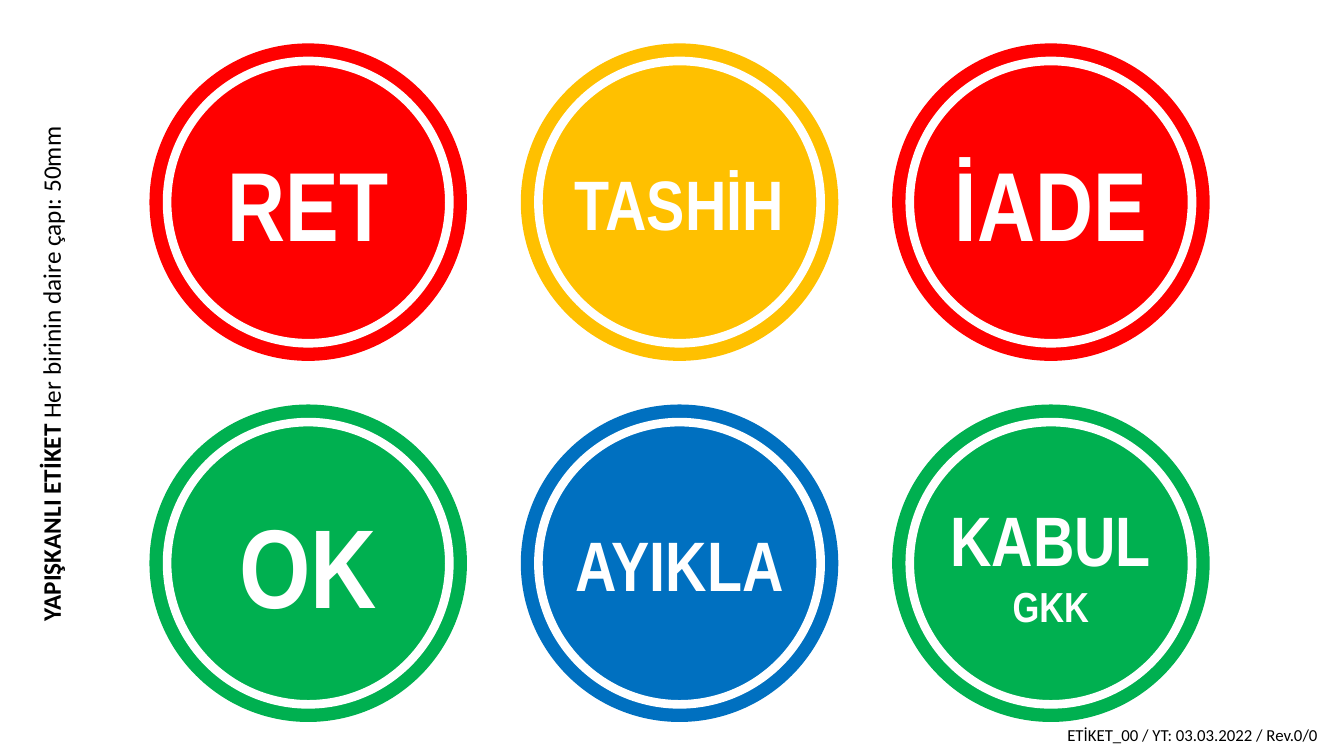
from pptx import Presentation
from pptx.dml.color import RGBColor
from pptx.enum.shapes import MSO_SHAPE
from pptx.enum.text import MSO_ANCHOR, MSO_AUTO_SIZE, PP_ALIGN
from pptx.util import Pt

OVAL, DONUT = MSO_SHAPE.OVAL, MSO_SHAPE.DONUT
MIDDLE, CENTER, LEFT = MSO_ANCHOR.MIDDLE, PP_ALIGN.CENTER, PP_ALIGN.LEFT
GROW = MSO_AUTO_SIZE.SHAPE_TO_FIT_TEXT

COLORS = {
    "red": "FF0000", "yellow": "FFC000", "green": "00B050",
    "blue": "0070C0", "white": "FFFFFF", "black": "000000",
}

BADGE_LEFT, BADGE_TOP = 106.75, 31
COL_STEP, ROW_STEP = 265.25, 257.9
DIAMETER, RING_INSET = 226.8, 10

# Each badge: colour and its lines of (text, size)
BADGES = [
    [("red", [("RET", 70)]), ("yellow", [("TASHİH", 50)]), ("red", [("İADE", 70)])],
    [("green", [("OK", 80)]), ("blue", [("AYIKLA", 50)]),
     ("green", [("KABUL", 50), ("GKK", 30)])],
]


def rgb(name):
    return RGBColor.from_string(COLORS[name])


def style_run(r, font, size, color, bold=False):
    r.font.name = font
    r.font.size = Pt(size)
    r.font.bold = bold
    r.font.color.rgb = rgb(color)


def add_round(shapes, kind, left, top, size, color):
    sp = shapes.add_shape(kind, Pt(left), Pt(top), Pt(size), Pt(size))
    sp.shadow.inherit = False
    sp.fill.solid()
    sp.fill.fore_color.rgb = rgb(color)
    return sp


def add_badge(s, left, top, color, lines):
    """Group a coloured disc carrying its lines with a thin white ring."""
    shapes = s.shapes.add_group_shape().shapes
    disc = add_round(shapes, OVAL, left, top, DIAMETER, color)
    disc.line.fill.background()
    tf = disc.text_frame
    tf.margin_left = tf.margin_top = tf.margin_right = tf.margin_bottom = 0
    tf.vertical_anchor = MIDDLE
    tf.text = "\n".join(text for text, _ in lines)
    for p, (_, size) in zip(tf.paragraphs, lines):
        p.alignment = CENTER
        style_run(p.runs[0], "Arial Narrow", size, "white", True)

    ring = add_round(shapes, DONUT, left + RING_INSET, top + RING_INSET,
                     DIAMETER - 2 * RING_INSET, "white")
    ring.adjustments[0] = 0.025
    ring.line.color.rgb = rgb("white")
    ring.line.width = Pt(1)


def add_label(s, left, top, width, height, parts, size, align, wrap=True):
    """Add one line of text made of (text, bold) parts."""
    sp = s.shapes.add_textbox(Pt(left), Pt(top), Pt(width), Pt(height))
    tf = sp.text_frame
    tf.word_wrap = wrap
    tf.auto_size = GROW
    p = tf.paragraphs[0]
    p.alignment = align
    for text, bold in parts:
        r = p.add_run()
        r.text = text
        style_run(r, "Calibri", size, "black", bold)
    return sp


def main():
    prs = Presentation()
    prs.slide_width, prs.slide_height = Pt(960), Pt(540)
    s = prs.slides.add_slide(prs.slide_layouts[6])

    for row, badges in enumerate(BADGES):
        for col, (color, lines) in enumerate(badges):
            add_badge(s, BADGE_LEFT + col * COL_STEP, BADGE_TOP + row * ROW_STEP,
                      color, lines)

    side = add_label(s, -200, 252.7, 473, 29,
                     [("YAPIŞKANLI ETİKET ", True),
                      ("Her birinin daire çapı: 50mm", False)], 18, CENTER)
    side.rotation = 270
    add_label(s, 755.3, 514, 195.8, 21.8,
              [("ETİKET_00 / YT: 03.03.2022 / Rev.0/0", False)], 12, LEFT, wrap=False)

    prs.save("out.pptx")


if __name__ == "__main__":
    main()
